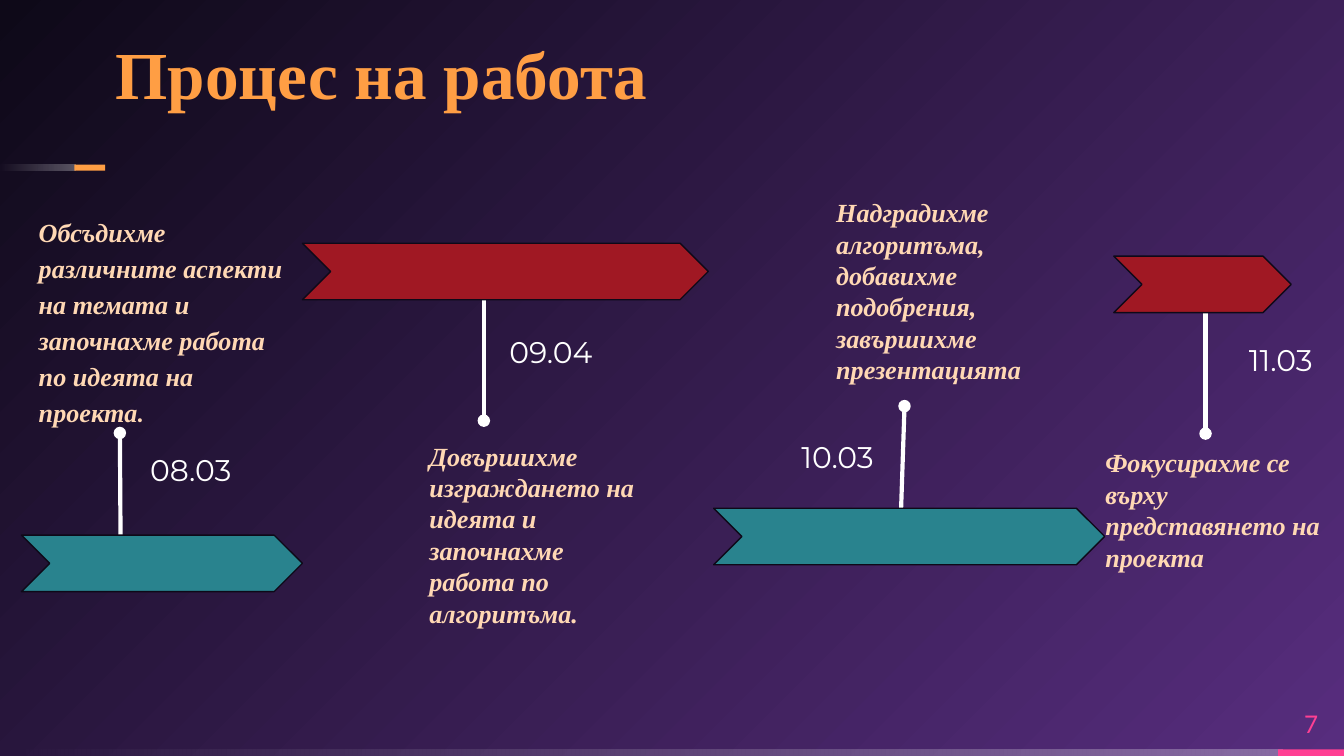
from collections import namedtuple

from lxml.etree import SubElement
from pptx import Presentation
from pptx.dml.color import RGBColor
from pptx.enum.shapes import MSO_CONNECTOR as Link, MSO_SHAPE as Form
from pptx.enum.text import MSO_ANCHOR as Anchor, MSO_AUTO_SIZE as Fit, PP_ALIGN as Align
from pptx.oxml.ns import qn
from pptx.util import Inches, Pt

COLUMNS, ROWS = 100, 56.25
SQUARE = Inches(0.1)
COLORS = {
    "glow": "572D7E", "night": "0E0918", "white": "FFFFFF", "pink": "FF4093",
    "orange": "FF9E44", "cream": "FFD8B4", "teal": "29838E", "red": "A01823",
}
SERIF, SANS, DIGITS = "Times New Roman", "Lato", "Montserrat"
Box = namedtuple("Box", "left top width height")
Stage = namedtuple("Stage", "arrow upper pin lean date date_box align anchor note note_box inset spacing after")

STAGES = [
    Stage(Box(1.6, 39.82, 20.9, 4.2), False, 7.37, -0.05,
          "08.03", Box(8.05, -7.3, 9.1, 4.9), Align.CENTER, Anchor.MIDDLE,
          [("Обсъдихме различните аспекти на темата и започнахме работа по идеята на проекта", SERIF),
           (".", SANS)], Box(0.3, -25.07, 20.3, 21.2), 1, 1.15, 12),
    Stage(Box(22.5, 18.1, 30.2, 4.2), True, 13.5, 0,
          "09.04", Box(14.42, 5.73, 8.8, 4.7), Align.LEFT, Anchor.TOP,
          [("Довършихме изграждането на идеята и започнахме работа по алгоритъма.", SERIF)],
          Box(8.47, 14.15, 17.4, 15.1), 0.5, 1, 0),
    Stage(Box(53.1, 37.82, 29.1, 4.2), False, 13.95, 0.25,
          "10.03", Box(1.6, -6.2, 11.3, 4.7), Align.RIGHT, Anchor.TOP,
          [("Надградихме алгоритъма, добавихме подобрения, завършихме презентацията", SERIF)],
          Box(8.13, -23.68, 21.1, 15.1), 0.5, 1, 0),
    Stage(Box(82.87, 19.06, 13.2, 4.2), True, 6.83, 0,
          "11.03", Box(6.58, 5.33, 9.2, 4.7), Align.RIGHT, Anchor.TOP,
          [("Фокусирахме се върху представянето на проекта", SERIF)],
          Box(-1.62, 13.7, 18.8, 10.4), 0.5, 1, 0),
]


def grid(*squares):
    """Turn grid squares into slide lengths."""
    return [round(count * SQUARE) for count in squares]


def within(box, part):
    """Shift a part by the corner of its box."""
    return Box(box.left + part.left, box.top + part.top, part.width, part.height)


def color(name):
    """Look up a named colour."""
    return RGBColor.from_string(COLORS[name])


def add_form(slide, form, box, fill=None):
    """Draw a borderless preset shape."""
    shape = slide.shapes.add_shape(form, *grid(*box))
    shape.shadow.inherit = False
    shape.line.fill.background()
    if fill:
        shape.fill.solid()
        shape.fill.fore_color.rgb = color(fill)
    return shape


def set_gradient(fill, first, last):
    """Give a fill two colour stops and return its element."""
    fill.gradient()
    for stop, name, position in zip(fill.gradient_stops, (first, last), (0, 1)):
        stop.color.rgb = color(name)
        stop.position = position
    return fill._xPr.find(qn("a:gradFill"))


def add_fading_bar(slide, box):
    """Draw a white bar that fades out to the left."""
    fill = add_form(slide, Form.RECTANGLE, box).fill
    gradient = set_gradient(fill, "white", "white")
    fill.gradient_angle = 180
    for tint, alpha in zip(gradient.iter(qn("a:srgbClr")), (30000, 0)):
        SubElement(tint, qn("a:alpha"), val=str(alpha))


def add_words(slide, box, words, size, ink, bold=False, italic=False, align=Align.LEFT,
              anchor=Anchor.TOP, insets=(0, 0), spacing=1, after=0, grow=False):
    """Write one paragraph of (text, font) runs."""
    frame = slide.shapes.add_textbox(*grid(*box)).text_frame
    frame.word_wrap = True
    frame.auto_size = Fit.SHAPE_TO_FIT_TEXT if grow else Fit.NONE
    frame.vertical_anchor = anchor
    frame.margin_left = frame.margin_right = grid(insets[0])[0]
    frame.margin_top = frame.margin_bottom = grid(insets[1])[0]
    paragraph = frame.paragraphs[0]
    paragraph.alignment = align
    paragraph.line_spacing = spacing
    paragraph.space_after = Pt(after)
    for text, font in words:
        run = paragraph.add_run()
        run.text = text
        run.font.name, run.font.size = font, Pt(size)
        run.font.bold, run.font.italic = bold, italic
        run.font.color.rgb = color(ink)


def add_pin(slide, start, end):
    """Draw a line that ends in a dot."""
    pin = slide.shapes.add_connector(Link.STRAIGHT, *grid(*start, *end))
    pin.line.color.rgb = color("white")
    pin.line.width = Pt(2.25)
    SubElement(pin.line._get_or_add_ln(), qn("a:tailEnd"), type="oval")
    SubElement(pin._element.spPr, qn("a:effectLst"))


def paint_background(slide):
    """Fill the slide with a glow from its lower right corner."""
    gradient = set_gradient(slide.background.fill, "glow", "night")
    gradient.remove(gradient.find(qn("a:lin")))
    glow = SubElement(gradient, qn("a:path"), {"path": "circle"})
    SubElement(glow, qn("a:fillToRect"), l="100000", t="100000")


def add_footer(slide, box, number):
    """Place the bottom strip and the page number."""
    badge = 4.9
    strip = 0.5
    left = box.left + box.width - badge
    top = box.top + box.height - strip
    add_fading_bar(slide, Box(box.left, top, box.width - badge + 0.3, strip))
    add_form(slide, Form.RECTANGLE, Box(left, top, badge, strip), "pink")
    add_words(slide, Box(left, box.top, badge, box.height - strip), [(number, SANS)], 13, "pink",
              align=Align.CENTER, anchor=Anchor.MIDDLE)


def add_heading(slide, box, title):
    """Place the title and the accent below it."""
    add_fading_bar(slide, within(box, Box(0, 10.25, 5.6, 0.45)))
    add_form(slide, Form.RECTANGLE, within(box, Box(5.53, 10.25, 2.3, 0.45)), "orange")
    add_words(slide, within(box, Box(8.6, 0, 58, 6.5)), [(title, SERIF)], 36, "orange", bold=True,
              anchor=Anchor.BOTTOM, spacing=0.9)


def add_stage(slide, box, stage):
    """Place an arrow with its pin, date and note."""
    foot = box.top + box.height if stage.upper else box.top
    reach = 9 if stage.upper else -7.6
    across = box.left + stage.pin
    add_pin(slide, (across, foot), (across + stage.lean, foot + reach))
    arrow = add_form(slide, Form.CHEVRON, box, "red" if stage.upper else "teal")
    arrow.line.color.rgb = color("night")
    arrow.line.width = Pt(0.75)
    add_words(slide, within(box, stage.date_box), [(stage.date, DIGITS)], 16, "white",
              align=stage.align, anchor=stage.anchor, insets=(1, 1),
              grow=stage.anchor == Anchor.TOP)
    add_words(slide, within(box, stage.note_box), stage.note, 14, "cream", bold=True, italic=True,
              insets=(1, stage.inset), spacing=stage.spacing, after=stage.after,
              grow=stage.spacing == 1)


def main():
    """Build and save the slide."""
    deck = Presentation()
    deck.slide_width, deck.slide_height = grid(COLUMNS, ROWS)
    slide = deck.slides.add_slide(deck.slide_layouts[6])
    paint_background(slide)
    add_footer(slide, Box(0, 51.9, COLUMNS, ROWS - 51.9), "7")
    add_heading(slide, Box(0, 2, COLUMNS, 10.8), "Процес на работа")
    for stage in STAGES:
        add_stage(slide, stage.arrow, stage)
    deck.save("out.pptx")


if __name__ == "__main__":
    main()
